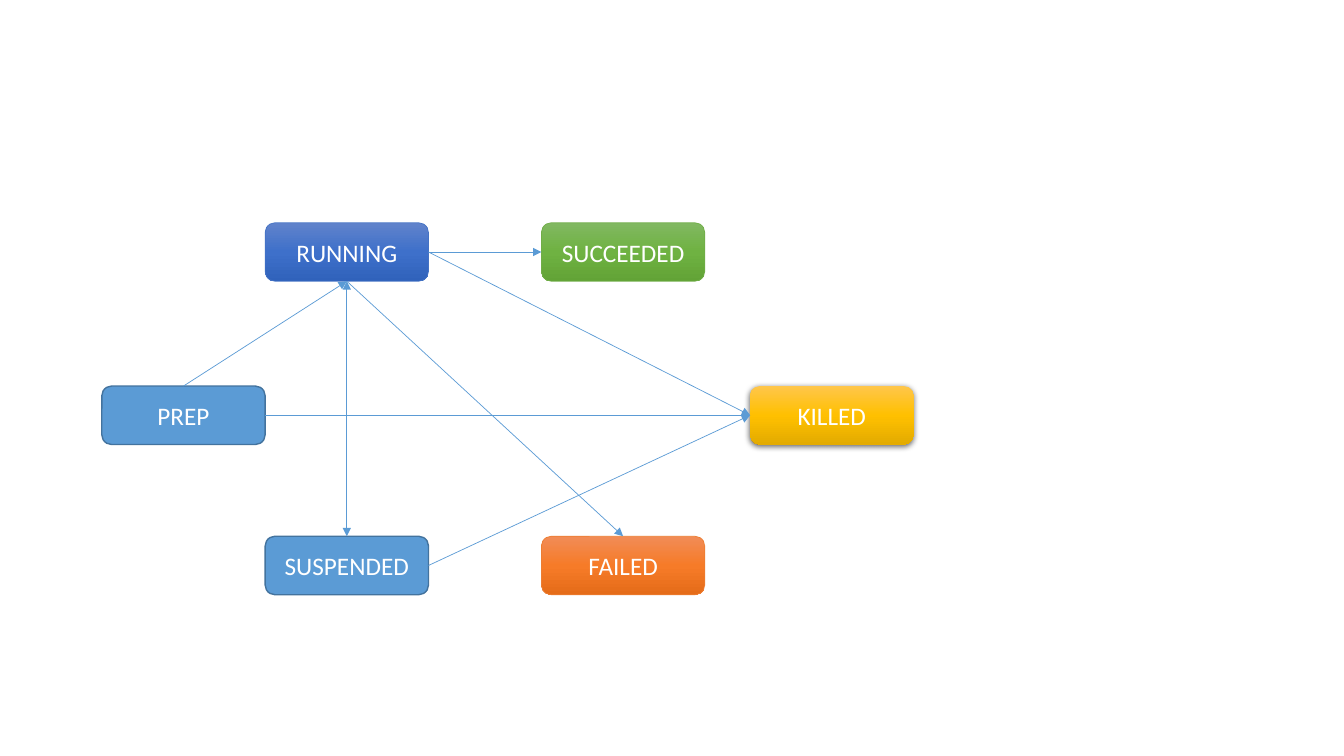
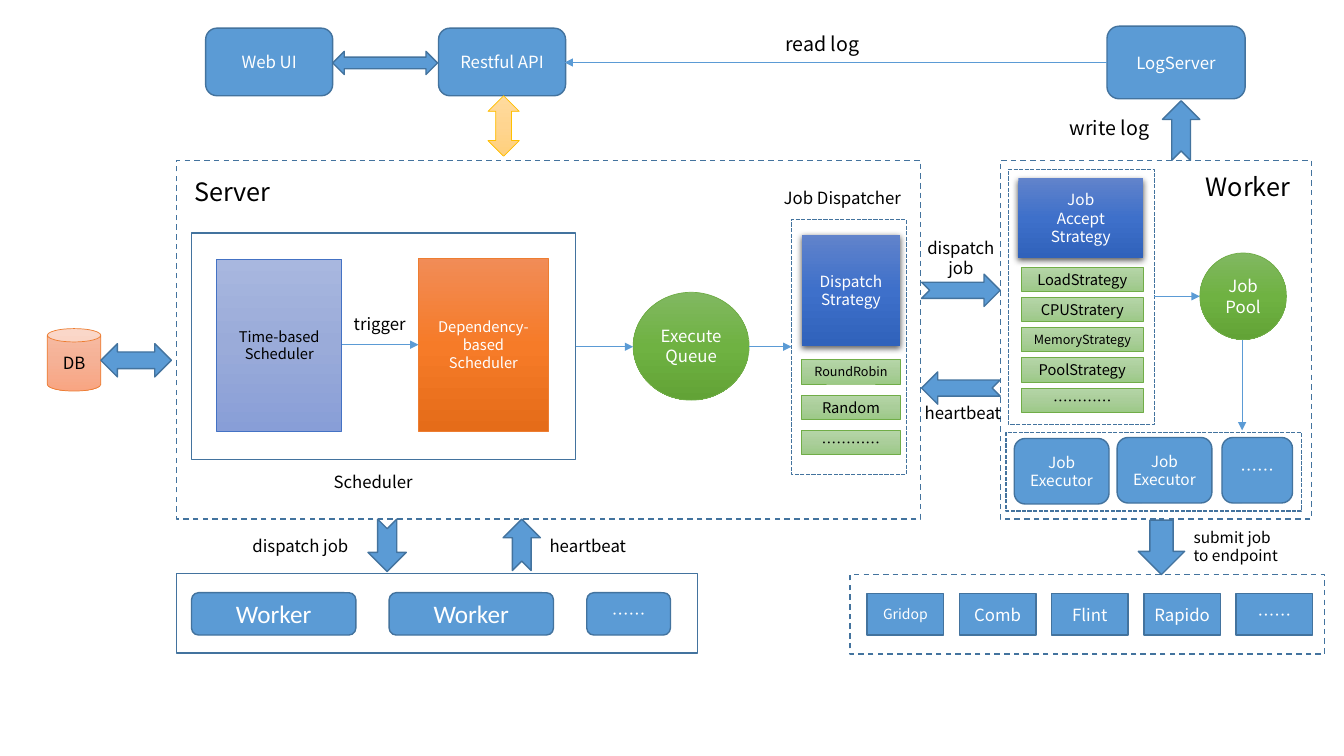
from copy import deepcopy
from lxml.etree import SubElement
from pptx import Presentation
from pptx.dml.color import RGBColor
from pptx.enum.dml import MSO_LINE
from pptx.enum.shapes import MSO_CONNECTOR, MSO_SHAPE
from pptx.enum.text import MSO_ANCHOR, MSO_AUTO_SIZE, PP_ALIGN
from pptx.oxml.ns import qn
from pptx.util import Inches, Pt

COLOURS = {
    "white": "FFFFFF", "black": "000000", "sky": "5B9BD5", "steel": "43739E",
    "royal": "4472C4", "royal top": "6183CB", "royal mid": "3E70CA", "royal end": "3062BB",
    "green": "70AD47", "green top": "81B861", "green mid": "6FB242", "green end": "62A336",
    "gold": "FFC000", "gold top": "FFC64B", "gold mid": "FFC000", "gold end": "E3AB00",
    "orange": "ED7D31", "orange top": "F18C57", "orange mid": "F67B28", "orange end": "E56C19",
    "peach top": "F7BDA5", "peach mid": "F5B196", "peach end": "F8A582",
    "cream top": "FFDB9E", "cream mid": "FFD590", "cream end": "FFD07C",
    "mint top": "B5D5A7", "mint mid": "AACE9A", "mint end": "9CC987",
    "lilac top": "A8B7DF", "lilac mid": "9AABD9", "lilac end": "889ED7",
}
RGB = {name: RGBColor.from_string(value) for name, value in COLOURS.items()}

# style: fill, line colour, line width, dash, text colour
STYLES = {
    "plain": ("sky", "steel", 1, None, "white"),
    "panel": (None, "steel", 1, None, "black"),
    "dashed": (None, "steel", 1, MSO_LINE.DASH, "black"),
    "dotted": (None, "steel", 1, MSO_LINE.SQUARE_DOT, "black"),
    "royal": ("royal", "royal", 0.5, None, "white"),
    "royal raised": ("royal", None, 0, None, "white"),
    "gold raised": ("gold", None, 0, None, "white"),
    "green": ("green", "green", 0.5, None, "white"),
    "orange": ("orange", "orange", 0.5, None, "white"),
    "peach": ("peach", "orange", 0.5, None, "black"),
    "cream": ("cream", "gold", 0.5, None, "black"),
    "mint": ("mint", "green", 0.5, None, "black"),
    "lilac": ("lilac", "royal", 0.5, None, "black"),
}
LATIN, CJK = "Calibri", "Noto Sans CJK SC"
RECT, ROUND, OVAL = MSO_SHAPE.RECTANGLE, MSO_SHAPE.ROUNDED_RECTANGLE, MSO_SHAPE.OVAL
NOTCHED, TWO_WAY = MSO_SHAPE.NOTCHED_RIGHT_ARROW, MSO_SHAPE.LEFT_RIGHT_ARROW
DOTS = "……"


def block(slide, kind, box, style, text="", size=12, font=CJK):
    """Add a preset shape in one of the shared styles, with centred text."""
    fill, edge, width, dash, ink = STYLES[style]
    shape = slide.shapes.add_shape(kind, *map(Inches, box))
    shape.shadow.inherit = False
    if fill is None:
        shape.fill.background()
    elif f"{fill} top" in RGB:
        shape.fill.gradient()
        shape.fill.gradient_angle = 270
        stops = shape._element.spPr.find(".//" + qn("a:gsLst"))
        stops.append(deepcopy(stops[0]))
        for stop, part, place in zip(shape.fill.gradient_stops, ("top", "mid", "end"), (0, 0.5, 1)):
            stop.color.rgb = RGB[f"{fill} {part}"]
            stop.position = place
    else:
        shape.fill.solid()
        shape.fill.fore_color.rgb = RGB[fill]
    if edge:
        shape.line.color.rgb = RGB[edge]
        shape.line.width = Pt(width)
        if dash:
            shape.line.dash_style = dash
    else:
        shape.line.fill.background()
        effects = shape._element.spPr.find(qn("a:effectLst"))
        shadow = SubElement(effects, qn("a:outerShdw"), blurRad=str(Pt(4.5)), dist=str(Pt(1.5)),
                            dir="5400000", algn="ctr", rotWithShape="0")
        shade = SubElement(shadow, qn("a:srgbClr"), val=COLOURS["black"])
        SubElement(shade, qn("a:alpha"), val="63000")
    if text:
        shape.text_frame.text = text
        shape.text_frame.vertical_anchor = MSO_ANCHOR.MIDDLE
        for paragraph in shape.text_frame.paragraphs:
            paragraph.alignment = PP_ALIGN.CENTER
            paragraph.font.size = Pt(size)
            paragraph.font.name = font
            paragraph.font.color.rgb = RGB[ink]
    return shape


def arrow(slide, start, end, both=False):
    """Add a thin line with an arrowhead at its end, or at both ends."""
    line = slide.shapes.add_connector(MSO_CONNECTOR.STRAIGHT, *map(Inches, (*start, *end)))
    line.line.color.rgb = RGB["sky"]
    line.line.width = Pt(0.5)
    outline = line.line._get_or_add_ln()
    if both:
        SubElement(outline, qn("a:headEnd"), type="triangle")
    SubElement(outline, qn("a:tailEnd"), type="triangle")
    SubElement(line._element.spPr, qn("a:effectLst"))
    return line


deck = Presentation()
deck.slide_width, deck.slide_height = Inches(13.33), Inches(7.5)
blank = deck.slide_layouts[6]

# Slide 1: job states
states = deck.slides.add_slide(blank)
STATES = [
    ("PREP", 1.01, 3.83, "plain"), ("SUSPENDED", 2.63, 5.32, "plain"),
    ("RUNNING", 2.63, 2.21, "royal"), ("SUCCEEDED", 5.37, 2.21, "green"),
    ("KILLED", 7.44, 3.83, "gold raised"), ("FAILED", 5.37, 5.32, "orange"),
]
state_boxes = {
    name: block(states, ROUND, (left, top, 1.62, 0.58), style, name, 18, LATIN)
    for name, left, top, style in STATES
}
TOP, LEFT, BOTTOM, RIGHT = range(4)
TRANSITIONS = [
    ("PREP", TOP, "RUNNING", BOTTOM), ("PREP", RIGHT, "KILLED", LEFT),
    ("RUNNING", RIGHT, "SUCCEEDED", LEFT), ("RUNNING", RIGHT, "KILLED", LEFT),
    ("RUNNING", BOTTOM, "FAILED", TOP), ("SUSPENDED", TOP, "RUNNING", BOTTOM),
    ("SUSPENDED", RIGHT, "KILLED", LEFT),
]
for source, source_side, target, target_side in TRANSITIONS:
    transition = arrow(states, (0, 0), (1, 1), both=(source, source_side) == ("SUSPENDED", TOP))
    transition.begin_connect(state_boxes[source], source_side)
    transition.end_connect(state_boxes[target], target_side)

# Slide 2: architecture
system = deck.slides.add_slide(blank)
PANELS = [
    ((1.75, 1.59, 7.38, 3.56), "dashed"),  # server
    ((1.9, 2.31, 3.81, 2.25), "panel"),  # scheduler
    ((7.85, 2.18, 1.14, 2.53), "dotted"),  # job dispatcher
    ((9.92, 1.59, 3.09, 3.56), "dashed"),  # worker
    ((10, 1.68, 1.45, 2.53), "dotted"),  # accept strategies
    ((9.98, 4.29, 2.93, 0.78), "dotted"),  # executors
    ((1.75, 5.69, 5.17, 0.79), "panel"),  # worker pool
    ((8.43, 5.7, 4.71, 0.79), "dashed"),  # endpoints
]
for box, style in PANELS:
    block(system, RECT, box, style)

PARTS = [
    (ROUND, (2.04, 0.28, 1.26, 0.67), "plain", "Web UI", 12),
    (ROUND, (4.35, 0.28, 1.26, 0.67), "plain", "Restful API", 12),
    (ROUND, (10.98, 0.26, 1.37, 0.72), "plain", "LogServer", 12),
    (MSO_SHAPE.CAN, (0.47, 3.26, 0.53, 0.62), "peach", "DB", 12),
    (RECT, (2.15, 2.57, 1.24, 1.71), "lilac", "Time-based\nScheduler", 10.5),
    (RECT, (4.15, 2.56, 1.29, 1.72), "orange", "Dependency-based\nScheduler", 10.5),
    (OVAL, (6.28, 2.9, 1.15, 1.07), "green", "Execute Queue", 12),
    (RECT, (7.95, 2.33, 0.98, 1.1), "royal raised", "Dispatch\nStrategy", 11),
    (RECT, (10.1, 1.77, 1.24, 0.79), "royal raised", "Job\nAccept\nStrategy", 11),
    (OVAL, (11.9, 2.51, 0.86, 0.86), "green", "Job\nPool", 12),
    (ROUND, (10.06, 4.35, 0.94, 0.65), "plain", "Job Executor", 11),
    (ROUND, (11.08, 4.34, 0.94, 0.65), "plain", "Job Executor", 11),
    (ROUND, (12.12, 4.34, 0.7, 0.65), "plain", DOTS, 12),
    (ROUND, (5.82, 5.88, 0.83, 0.42), "plain", DOTS, 12),
]
for part in PARTS:
    block(system, *part)
for left in (1.9, 3.86):
    block(system, ROUND, (left, 5.88, 1.63, 0.42), "plain", "Worker", 18, LATIN)
for column, (endpoint, size) in enumerate(
        [("Gridop", 10), ("Comb", 12), ("Flint", 12), ("Rapido", 12), (DOTS, 12)]):
    block(system, RECT, (8.6 + 0.915 * column, 5.89, 0.76, 0.41), "plain", endpoint, size)
for row, (strategy, size) in enumerate([("RoundRobin", 9), ("Random", 10.5), (DOTS * 2, 10.5)]):
    block(system, RECT, (7.95, 3.57 + 0.35 * row, 0.98, 0.24), "mint", strategy, size)
for row, (strategy, size) in enumerate([
        ("LoadStrategy", 10.5), ("CPUStratery", 10.5), ("MemoryStrategy", 9),
        ("PoolStrategy", 10.5), (DOTS * 2, 10.5)]):
    block(system, RECT, (10.13, 2.65 + 0.3 * row, 1.21, 0.24), "mint", strategy, size)

BLOCK_ARROWS = [
    (TWO_WAY, (3.3, 0.51, 1.04, 0.23), "plain", 0),
    (TWO_WAY, (1, 3.41, 0.7, 0.33), "plain", 0),
    (MSO_SHAPE.UP_DOWN_ARROW, (4.84, 0.95, 0.31, 0.6), "cream", 0),
    (MSO_SHAPE.DOWN_ARROW, (11.29, 5.16, 0.46, 0.54), "plain", 0),
    (NOTCHED, (9.14, 2.72, 0.78, 0.32), "plain", 0),
    (NOTCHED, (9.14, 3.69, 0.78, 0.32), "plain", 180),
    (NOTCHED, (11.42, 1.11, 0.59, 0.37), "plain", 270),
    (NOTCHED, (3.58, 5.22, 0.52, 0.38), "plain", 90),
    (NOTCHED, (4.92, 5.22, 0.51, 0.37), "plain", 270),
]
for kind, box, style, turn in BLOCK_ARROWS:
    block(system, kind, box, style).rotation = turn

FLOWS = [
    ((10.98, 0.62), (5.6, 0.62)), ((3.39, 3.42), (4.15, 3.42)),
    ((5.71, 3.44), (6.28, 3.44)), ((7.43, 3.44), (7.85, 3.44)),
    ((11.45, 2.94), (11.9, 2.94)), ((12.32, 3.37), (12.32, 4.27)),
]
for start, end in FLOWS:
    arrow(system, start, end)

LABELS = [
    ("Server", (1.83, 1.7, 0.97, 0.4), 18, PP_ALIGN.LEFT),
    ("Worker", (11.86, 1.65, 1.08, 0.4), 18, PP_ALIGN.LEFT),
    ("Scheduler", (3.21, 4.63, 1, 0.3), 12, PP_ALIGN.LEFT),
    ("Job Dispatcher", (7.66, 1.81, 1.39, 0.3), 12, PP_ALIGN.CENTER),
    ("trigger", (3.41, 3.06, 0.75, 0.3), 12, PP_ALIGN.LEFT),
    ("read log", (7.69, 0.27, 0.98, 0.34), 14, PP_ALIGN.LEFT),
    ("write log", (10.51, 1.1, 1.03, 0.34), 14, PP_ALIGN.LEFT),
    ("dispatch\njob", (9.09, 2.31, 0.88, 0.5), 12, PP_ALIGN.CENTER),
    ("heartbeat", (9.06, 3.95, 0.98, 0.3), 12, PP_ALIGN.CENTER),
    ("dispatch job", (2.27, 5.27, 1.42, 0.3), 12, PP_ALIGN.CENTER),
    ("heartbeat", (5.34, 5.27, 0.98, 0.3), 12, PP_ALIGN.CENTER),
    ("submit job\nto endpoint", (11.74, 5.19, 1.07, 0.47), 11, PP_ALIGN.LEFT),
]
for text, box, size, alignment in LABELS:
    label = system.shapes.add_textbox(*map(Inches, box)).text_frame
    label.text = text
    label.word_wrap = False
    label.auto_size = MSO_AUTO_SIZE.SHAPE_TO_FIT_TEXT
    for paragraph in label.paragraphs:
        paragraph.alignment = alignment
        paragraph.font.size = Pt(size)
        paragraph.font.name = CJK
        paragraph.font.color.rgb = RGB["black"]

deck.save("out.pptx")
